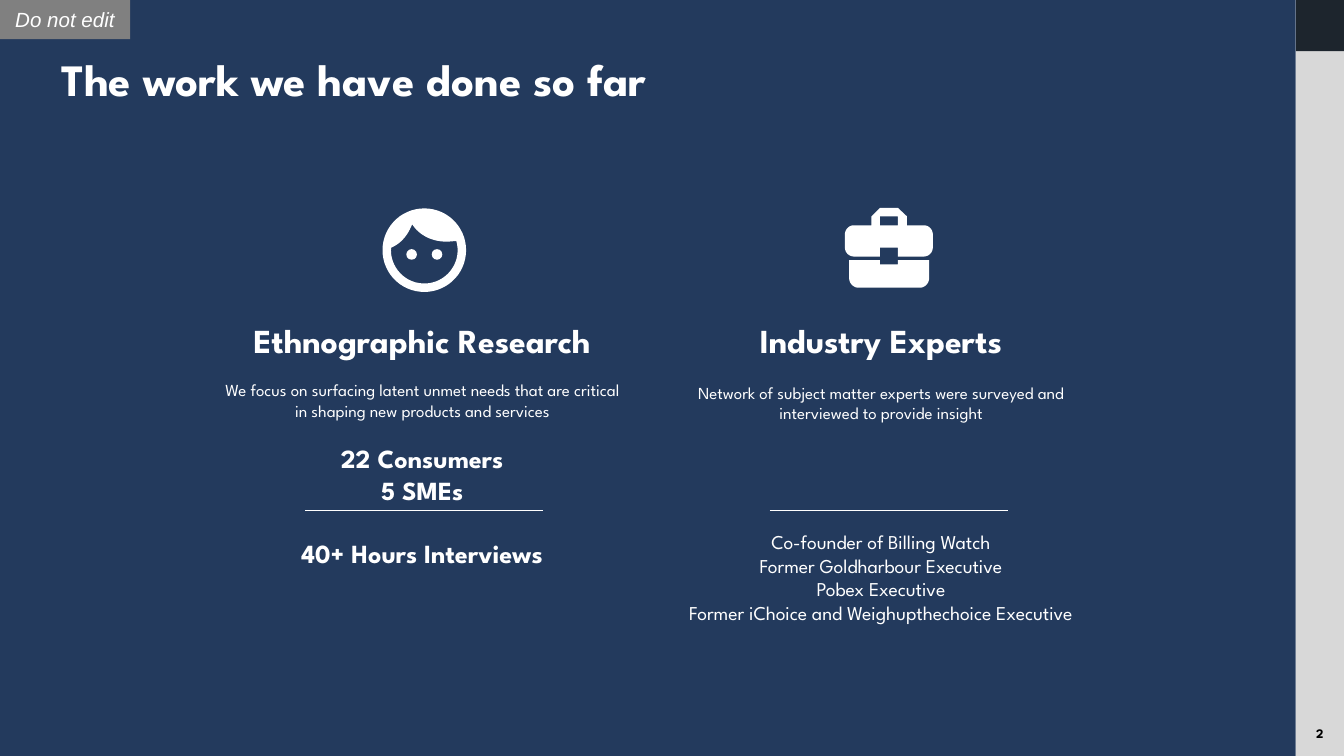
from math import cos, radians, sin

from lxml.etree import SubElement
from pptx import Presentation
from pptx.dml.color import RGBColor as RGB
from pptx.enum.shapes import MSO_CONNECTOR as LINK, MSO_SHAPE as KIND
from pptx.enum.text import MSO_ANCHOR as ANCHOR, MSO_AUTO_SIZE as AUTO, PP_ALIGN as ALIGN
from pptx.oxml.ns import qn
from pptx.util import Cm, Pt

COLORS = {
    "navy": "233A5D", "white": "FFFFFF", "black": "000000",
    "strip": "D8D8D8", "dark": "1D252D", "tag": "808080",
}
FONT = "League Spartan"
WIDE, HIGH, SPLIT = 25.4, 14.29, 24.49


def color(name):
    return RGB.from_string(COLORS[name])


def paint(shape, fill):
    shape.shadow.inherit = False
    shape.fill.solid()
    shape.fill.fore_color.rgb = color(fill)
    shape.line.fill.background()
    return shape


def add_box(slide, kind, x, y, w, h, fill):
    shape = slide.shapes.add_shape(kind, Cm(x), Cm(y), Cm(w), Cm(h))
    return paint(shape, fill)


def place(shape, x, y, w, h):
    shape.left, shape.top, shape.width, shape.height = Cm(x), Cm(y), Cm(w), Cm(h)


def set_frame(shape, side=0.25, edge=0.25, anchor=ANCHOR.TOP):
    frame = shape.text_frame
    frame.word_wrap = True
    frame.auto_size = AUTO.NONE
    frame.vertical_anchor = anchor
    frame.margin_left = frame.margin_right = Cm(side)
    frame.margin_top = frame.margin_bottom = Cm(edge)
    return frame


def write(para, text, size, bold=False, italic=False, tint="white",
          font=FONT, align=ALIGN.CENTER, before=0):
    props = para._p.get_or_add_pPr()
    props.set("marL", "0")
    props.set("indent", "0")
    SubElement(props, qn("a:buNone"))
    para.alignment = align
    para.space_before = Pt(before)
    run = para.add_run()
    run.text = text
    run.font.name, run.font.size = font, Pt(size)
    run.font.bold, run.font.italic = bold, italic
    run.font.color.rgb = color(tint)


def add_list(shape, x, rows):
    place(shape, x, 5.79, 8.62, 8.33)
    frame = set_frame(shape, side=0.51)
    for i, (text, style) in enumerate(rows):
        para = frame.add_paragraph() if i else frame.paragraphs[0]
        write(para, text, **style)


def add_rule(slide, x):
    line = slide.shapes.add_connector(LINK.STRAIGHT, Cm(x), Cm(9.65), Cm(x + 4.5), Cm(9.65))
    line.line.color.rgb = color("white")
    line.line.width = Pt(0.75)
    SubElement(line._element.spPr, qn("a:effectLst"))


# Outlines, in centimetres
def arc(x, y, r, start, end):
    count = max(6, abs(end - start) // 6)
    turns = [radians(start + (end - start) * i / count) for i in range(count + 1)]
    return [(x + r * cos(t), y + r * sin(t)) for t in turns]


def curve(a, b, c, d, count=12):
    points = []
    for i in range(count + 1):
        t = i / count
        u = 1 - t
        mix = (u ** 3, 3 * u * u * t, 3 * u * t * t, t ** 3)
        points.append(tuple(sum(m * p[k] for m, p in zip(mix, (a, b, c, d))) for k in (0, 1)))
    return points


def add_form(slide, *loops):
    loops = [[(Cm(x), Cm(y)) for x, y in loop] for loop in loops]
    form = slide.shapes.build_freeform(*loops[0][0])
    form.add_line_segments(loops[0][1:])
    for loop in loops[1:]:
        form.move_to(*loop[0])
        form.add_line_segments(loop[1:])
    return paint(form.convert_to_shape(), "white")


def add_face(slide):
    x, y = 8.02, 4.73
    inner = (arc(x, y, 0.63, -16, 185)
             + curve((7.4, 4.68), (7.58, 4.6), (7.71, 4.45), (7.79, 4.24))
             + curve((7.79, 4.24), (7.94, 4.47), (8.19, 4.57), (8.45, 4.57)))
    add_form(slide, arc(x, y, 0.79, 0, 360), inner)
    for eye in (-0.24, 0.24):
        add_box(slide, KIND.OVAL, x + eye - 0.1, 4.71, 0.2, 0.2, "white")


def add_case(slide):
    left, right = 16.63, 16.97
    add_form(slide, [(16.05, 4.92), (left, 4.92), (left, 5), (right, 5),
                     (right, 4.92), (17.56, 4.92)]
             + arc(17.38, 5.26, 0.18, 0, 90) + arc(16.23, 5.26, 0.18, 90, 180))
    lid = (arc(16.14, 4.43, 0.17, 180, 270)
           + [(16.47, 4.26), (16.47, 4.09), (left, 3.93), (right, 3.93),
              (17.14, 4.09), (17.14, 4.26)]
           + arc(17.46, 4.43, 0.17, 270, 360) + arc(17.46, 4.68, 0.17, 0, 90)
           + [(right, 4.85), (right, 4.68), (left, 4.68), (left, 4.85)]
           + arc(16.14, 4.68, 0.17, 90, 180))
    grip = [(left, 4.09), (right, 4.09), (right, 4.26), (left, 4.26)]
    add_form(slide, lid, grip)


def main():
    deck = Presentation()
    deck.slide_width, deck.slide_height = Cm(WIDE), Cm(HIGH)
    slide = deck.slides.add_slide(deck.slide_layouts[3])
    title, left, right = slide.placeholders

    # Background, behind the placeholders
    strip = WIDE - SPLIT
    for x, w, h, fill in ((SPLIT, strip, HIGH, "strip"), (SPLIT, strip, 0.97, "dark"),
                          (0, SPLIT, HIGH, "navy")):
        title._element.addprevious(add_box(slide, KIND.RECTANGLE, x, 0, w, h, fill)._element)

    # Page number
    page = slide.shapes.add_textbox(Cm(SPLIT), Cm(13.59), Cm(strip), Cm(0.56))
    frame = set_frame(page, edge=0.13, anchor=ANCHOR.MIDDLE)
    write(frame.paragraphs[0], "2", 7, bold=True, tint="black")

    # Title
    place(title, 0.91, 0.72, 22.61, 0.94)
    write(set_frame(title).paragraphs[0], "The work we have done so far", 24,
          bold=True, align=ALIGN.LEFT)

    # Columns
    head = dict(size=18, bold=True)
    fact = dict(size=14, bold=True)
    role = dict(size=10.5)
    add_list(left, 3.67, [
        ("Ethnographic Research", head),
        ("We focus on surfacing latent unmet needs that are critical in shaping "
         "new products and services", dict(size=9, before=10.8)),
        ("22 Consumers", dict(fact, before=12)),
        ("5 SMEs", fact),
        ("40+ Hours Interviews", dict(fact, before=16.8)),
    ])
    add_list(right, 12.34, [
        ("Industry Experts", head),
        ("Network of subject matter experts were surveyed and interviewed to "
         "provide insight", dict(size=9, before=12)),
        ("Co-founder of Billing Watch", dict(role, before=57.6)),
        ("Former Goldharbour Executive", role),
        ("Pobex Executive", role),
        ("Former iChoice and Weighupthechoice Executive", role),
    ])
    add_face(slide)
    add_case(slide)
    for x in (5.77, 14.55):
        add_rule(slide, x)

    # Corner tag
    tag = add_box(slide, KIND.RECTANGLE, 0, 0, 2.46, 0.74, "tag")
    frame = set_frame(tag, side=0, edge=0, anchor=ANCHOR.MIDDLE)
    write(frame.paragraphs[0], "Do not edit", 11, italic=True, font="Arial")

    deck.save("out.pptx")


if __name__ == "__main__":
    main()
